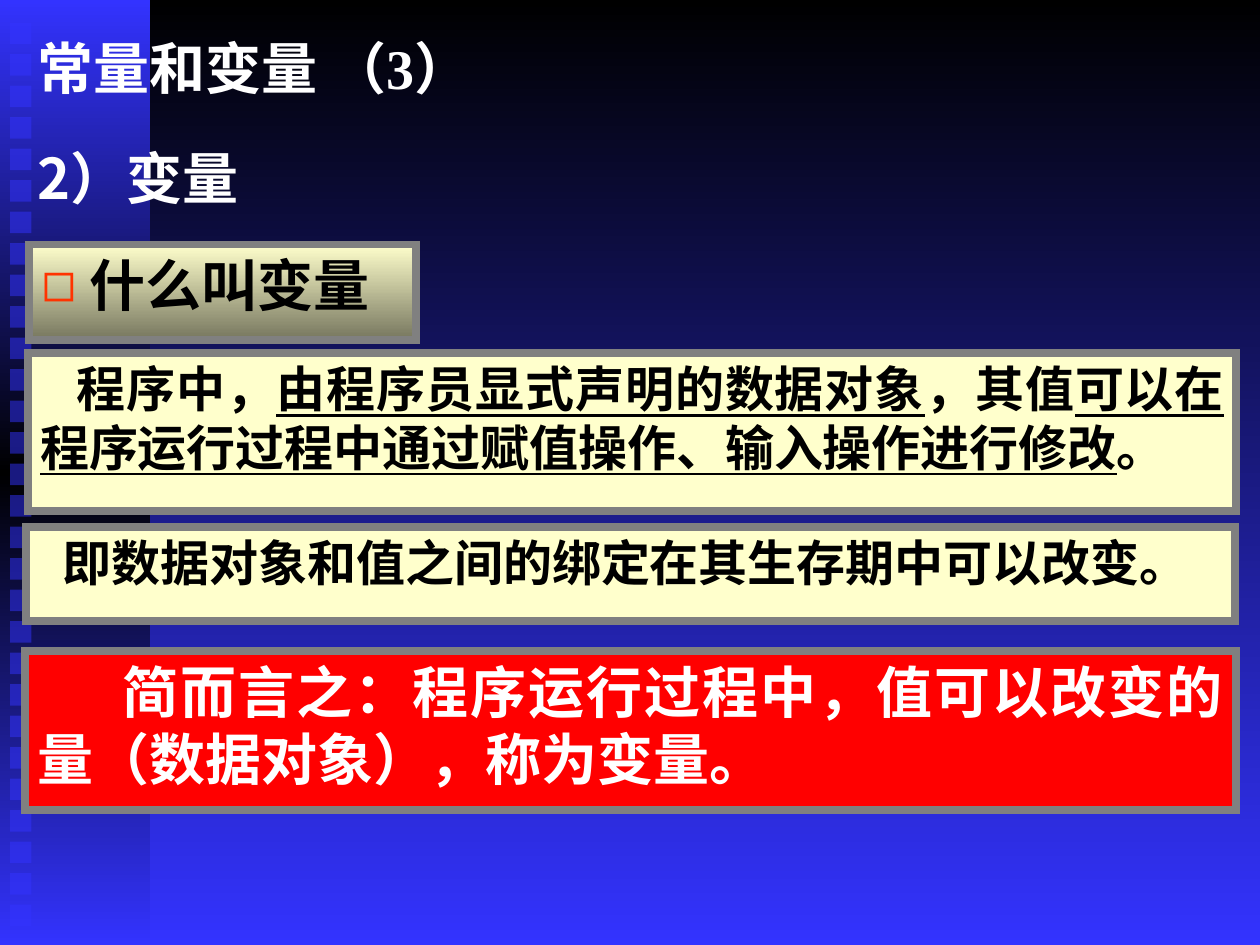
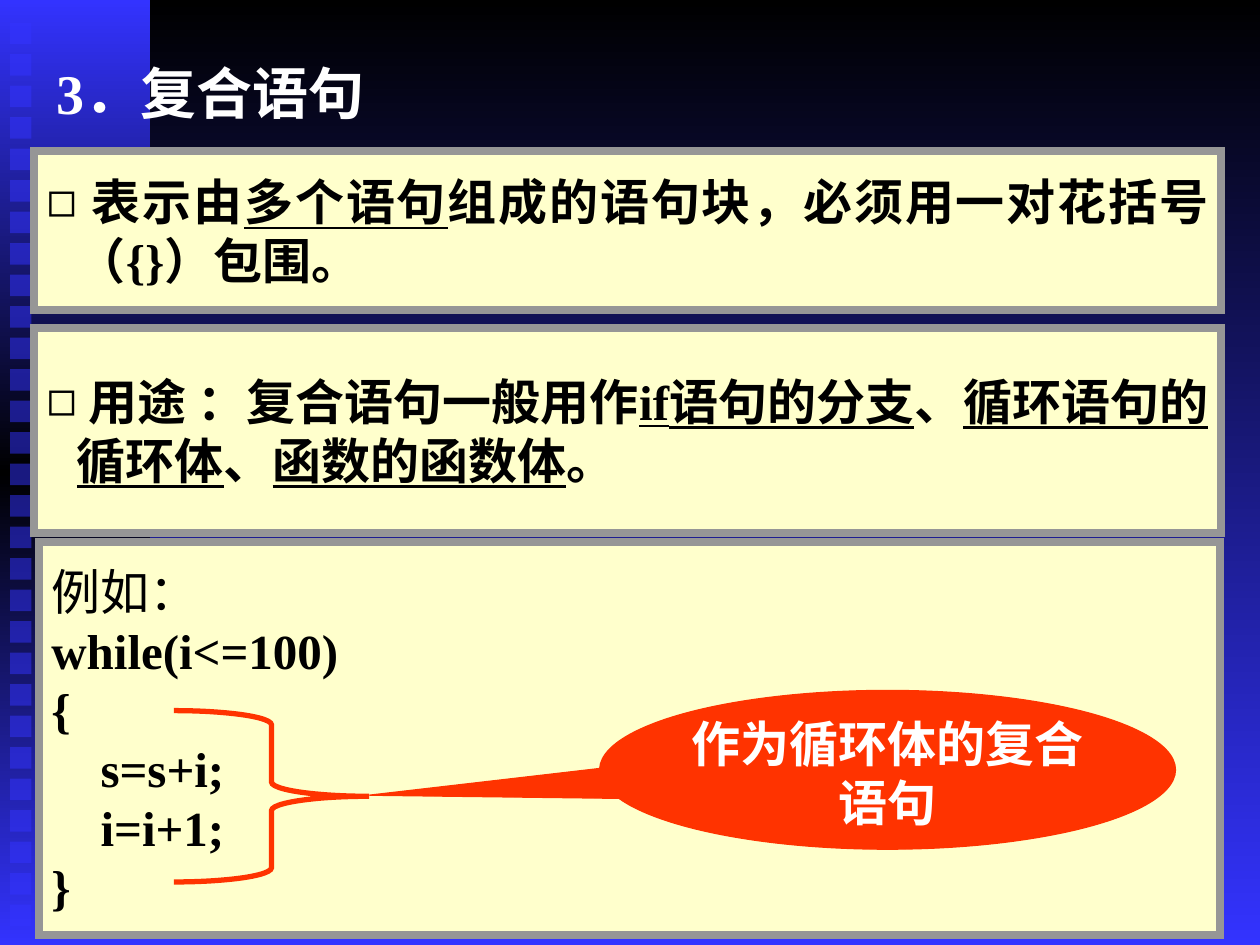
from lxml.etree import SubElement
from pptx import Presentation
from pptx.dml.color import RGBColor
from pptx.enum.shapes import MSO_SHAPE as Shape
from pptx.enum.text import MSO_ANCHOR as Anchor, MSO_AUTO_SIZE as AutoSize, PP_ALIGN as Align
from pptx.oxml.ns import qn
from pptx.util import Inches, Pt

# Shared style
LATIN, CHINESE = "Times New Roman", "Noto Sans CJK SC"
BLUE, BLACK, WHITE = "3333FF", "000000", "FFFFFF"
CREAM, OLIVE, RED, ORANGE = "FFFFCC", "76765E", "FF0000", "FF3300"
GREY, LIGHT_GREY = "808080", "969696"
COLUMNS, ROWS = 100, 75
TITLE_AND_LIST, TITLE_AND_TWO_LISTS = 1, 3
BULLET_INDENT = 0.24


def colour(value):
    return RGBColor.from_string(value)


def paint(owner, fill, *colours):
    """Fill with one colour, or with an even gradient from top to bottom."""
    if len(colours) == 1:
        fill.solid()
        fill.fore_color.rgb = colour(colours[0])
        return
    fill.gradient()
    fill.gradient_angle = 270
    stops = next(owner.element.iter(qn("a:gsLst")))
    for stop in list(stops):
        stops.remove(stop)
    for number, value in enumerate(colours):
        share = 100000 * number // (len(colours) - 1)
        stop = SubElement(stops, qn("a:gs"), pos=str(share))
        SubElement(stop, qn("a:srgbClr"), val=value)


def add_bullet(para, value):
    properties = para._p.get_or_add_pPr()
    tint = SubElement(properties, qn("a:buClr"))
    SubElement(tint, qn("a:srgbClr"), val=value)
    SubElement(properties, qn("a:buChar"), char="◻")


def write(para, text, size=28, ink=BLACK, bold=True, font=LATIN, align=Align.JUSTIFY,
          before=0, spacing=1.0, margin=0, first=0, bullet=None):
    """Write one paragraph; underscores enclose its underlined parts."""
    para.alignment = align
    para.space_before = Pt(before)
    para.line_spacing = spacing
    properties = para._p.get_or_add_pPr()
    properties.set("marL", str(Inches(margin)))
    properties.set("indent", str(Inches(first)))
    if bullet:
        add_bullet(para, bullet)
    for number, part in enumerate(text.split("_")):
        if not part:
            continue
        span = para.add_run()
        span.text = part
        span.font.name = font
        span.font.size = Pt(size)
        span.font.bold = bold
        span.font.underline = number % 2 == 1
        span.font.color.rgb = colour(ink)
        SubElement(span._r.get_or_add_rPr(), qn("a:ea"), typeface=CHINESE)


class Deck:
    """The presentation, its style and the page being filled."""

    def __init__(self):
        self.file = Presentation()
        self.file.slide_width, self.file.slide_height = Inches(10), Inches(7.5)
        self.column = self.file.slide_width / COLUMNS
        self.row = self.file.slide_height / ROWS
        self.page = None

    def start_page(self, layout):
        self.page = self.file.slides.add_slide(self.file.slide_layouts[layout])

    def area(self, left, top, width, height):
        return [round(length) for length in (left * self.column, top * self.row,
                                             width * self.column, height * self.row)]

    def place(self, box, at):
        box.left, box.top, box.width, box.height = self.area(*at)

    def frame(self, box, anchor=Anchor.TOP, inset=True):
        frame = box.text_frame
        frame.word_wrap = True
        frame.auto_size = AutoSize.NONE
        frame.vertical_anchor = anchor
        frame.margin_left = frame.margin_right = Inches(0.1 * inset)
        frame.margin_top = frame.margin_bottom = Inches(0.05 * inset)
        return frame

    def border(self, box, value, width=4.5):
        box.line.width = Pt(width)
        box.line.color.rgb = colour(value)
        SubElement(box.line._get_or_add_ln(), qn("a:miter"), lim="800000")

    def shape(self, kind, at, *fills):
        shape = self.page.shapes.add_shape(kind, *self.area(*at))
        shape.shadow.inherit = False
        if fills:
            paint(shape, shape.fill, *fills)
        else:
            shape.fill.background()
        shape.line.fill.background()
        return shape

    def title(self, text, at):
        box = self.page.shapes.title
        self.place(box, at)
        write(self.frame(box, Anchor.MIDDLE).paragraphs[0], text, size=32, ink=WHITE,
              align=Align.LEFT)

    def heading(self, text, at):
        box = self.page.shapes.add_textbox(*self.area(*at))
        write(self.frame(box).paragraphs[0], text, size=32, ink=WHITE, font=CHINESE,
              before=8, spacing=0.9)

    def bullet_box(self, index, text, at, fills, edge, anchor=Anchor.MIDDLE, **style):
        box = self.page.placeholders[index]
        self.place(box, at)
        paint(box, box.fill, *fills)
        self.border(box, edge)
        write(self.frame(box, anchor).paragraphs[0], text, margin=BULLET_INDENT,
              first=-BULLET_INDENT, **style)

    def panel(self, text, at, fill, **style):
        box = self.shape(Shape.RECTANGLE, at, fill)
        self.border(box, GREY)
        write(self.frame(box).paragraphs[0], text, **style)

    def code_panel(self, lines, at):
        box = self.shape(Shape.RECTANGLE, at, CREAM)
        self.border(box, LIGHT_GREY)
        frame = self.frame(box, Anchor.MIDDLE)
        for number, (text, style) in enumerate(lines):
            para = frame.add_paragraph() if number else frame.paragraphs[0]
            write(para, text, align=Align.LEFT, **style)

    def callout(self, text, at, tip):
        balloon = self.shape(Shape.OVAL_CALLOUT, at, ORANGE)
        balloon.adjustments[0], balloon.adjustments[1] = tip
        self.border(balloon, ORANGE, 0.75)
        write(self.frame(balloon, inset=False).paragraphs[0], text, ink=WHITE,
              align=Align.CENTER)

    def brace(self, at):
        self.border(self.shape(Shape.RIGHT_BRACE, at), ORANGE, 3)

    def dress_master(self):
        """Give the master its background, side band and column of squares."""
        master = self.file.slide_master
        paint(master, master.background.fill, BLACK, BLUE)
        parts = [self.shape(Shape.RECTANGLE, (0, 0, 11.9, ROWS), BLUE, BLACK, BLUE)]
        for number in range(29):
            square = self.shape(Shape.RECTANGLE, (0.8, 1.8 + 2.5 * number, 1.7, 1.7), BLUE)
            tint = next(square.element.spPr.iter(qn("a:srgbClr")))
            SubElement(tint, qn("a:alpha"), val="50000")
            parts.append(square)
        for position, part in enumerate(parts, 2):
            master.shapes.element.insert(position, part.element)
        for number, node in enumerate(master.element.iter(qn("p:cNvPr")), 1):
            node.set("id", str(number))


def variables_page(deck):
    deck.title("常量和变量 （3）", (2, 2.8, 85, 5))
    deck.heading("2）变量", (2, 11.5, 70, 6.3))
    deck.bullet_box(1, " 什么叫变量", (2.3, 19.4, 30.7, 7.6), (CREAM, OLIVE), GREY,
                    Anchor.TOP, size=32, before=8, bullet=ORANGE)
    deck.panel("程序中，_由程序员显式声明的数据对象_，其值"
               "_可以在程序运行过程中通过赋值操作、输入操作进行修改_。",
               (2.2, 28, 95.9, 12.6), CREAM, before=7, first=0.29)
    deck.panel("即数据对象和值之间的绑定在其生存期中可以改变。",
               (2.1, 41.8, 95.9, 7.5), CREAM, before=7, first=0.19)
    deck.panel("简而言之：程序运行过程中，值可以改变的量（数据对象），称为变量。",
               (2, 51.7, 96.1, 12.6), RED, size=32, ink=WHITE, before=8, first=0.67)


def compound_page(deck):
    deck.title("3．复合语句", (3.5, 3.6, 85, 7.5))
    rules = [
        (" 表示由_多个语句_组成的语句块，必须用一对花括号（{}）包围。", 12, 12.6),
        (" 用途 ：复合语句一般用作_if语句的分支_、_循环语句的循环体_、_函数的函数体_。", 26, 16.3),
    ]
    for index, (text, top, height) in enumerate(rules, 1):
        deck.bullet_box(index, text, (2.7, top, 94.2, height), (CREAM,), LIGHT_GREY,
                        before=7, bullet=BLACK)
    # Example with its loop body marked
    inner = {"margin": 0.39}
    deck.code_panel([("例如：", {"bold": False}), ("while(i<=100)", {}), ("{", {}),
                     ("s=s+i;", inner), ("i=i+1;", inner), ("}", {})],
                    (3.1, 43, 93.7, 31.2))
    deck.callout("作为循环体的复合语句", (47.6, 54.8, 45.7, 12.6), (-0.9, 0.16))
    deck.brace((13.8, 56.4, 15.5, 13.6))


def main():
    deck = Deck()
    deck.start_page(TITLE_AND_LIST)
    deck.dress_master()
    variables_page(deck)
    deck.start_page(TITLE_AND_TWO_LISTS)
    compound_page(deck)
    deck.file.save("out.pptx")


if __name__ == "__main__":
    main()
